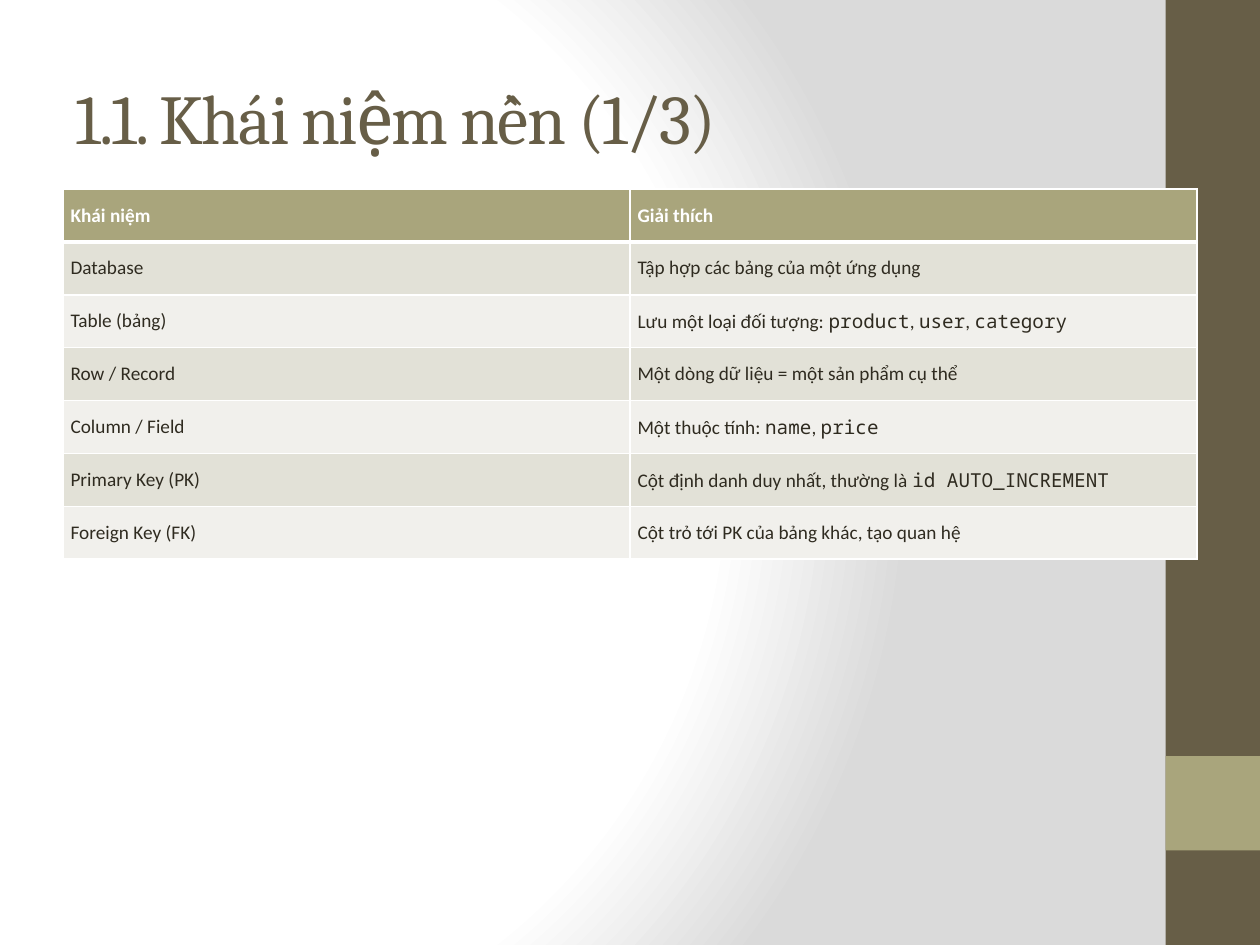
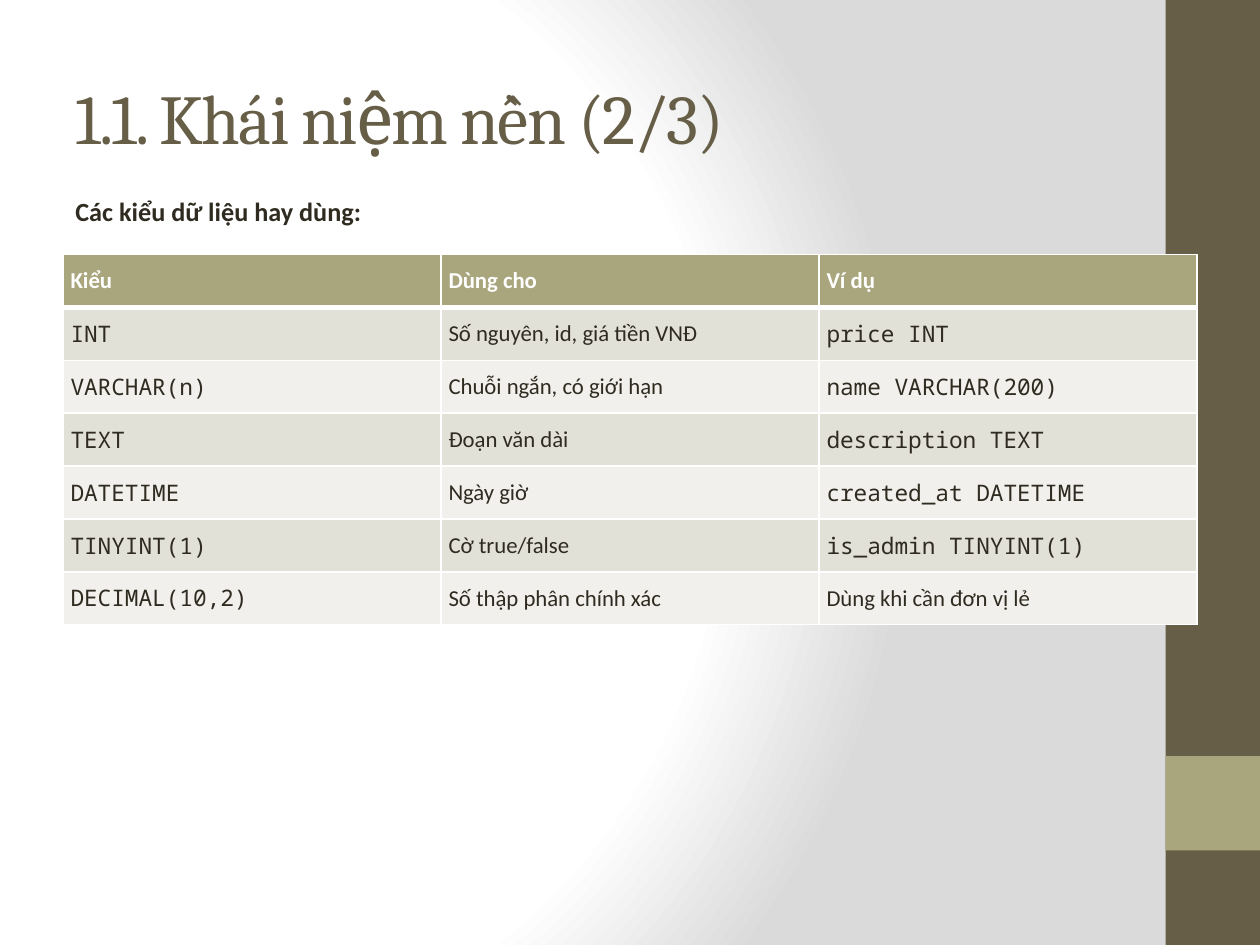
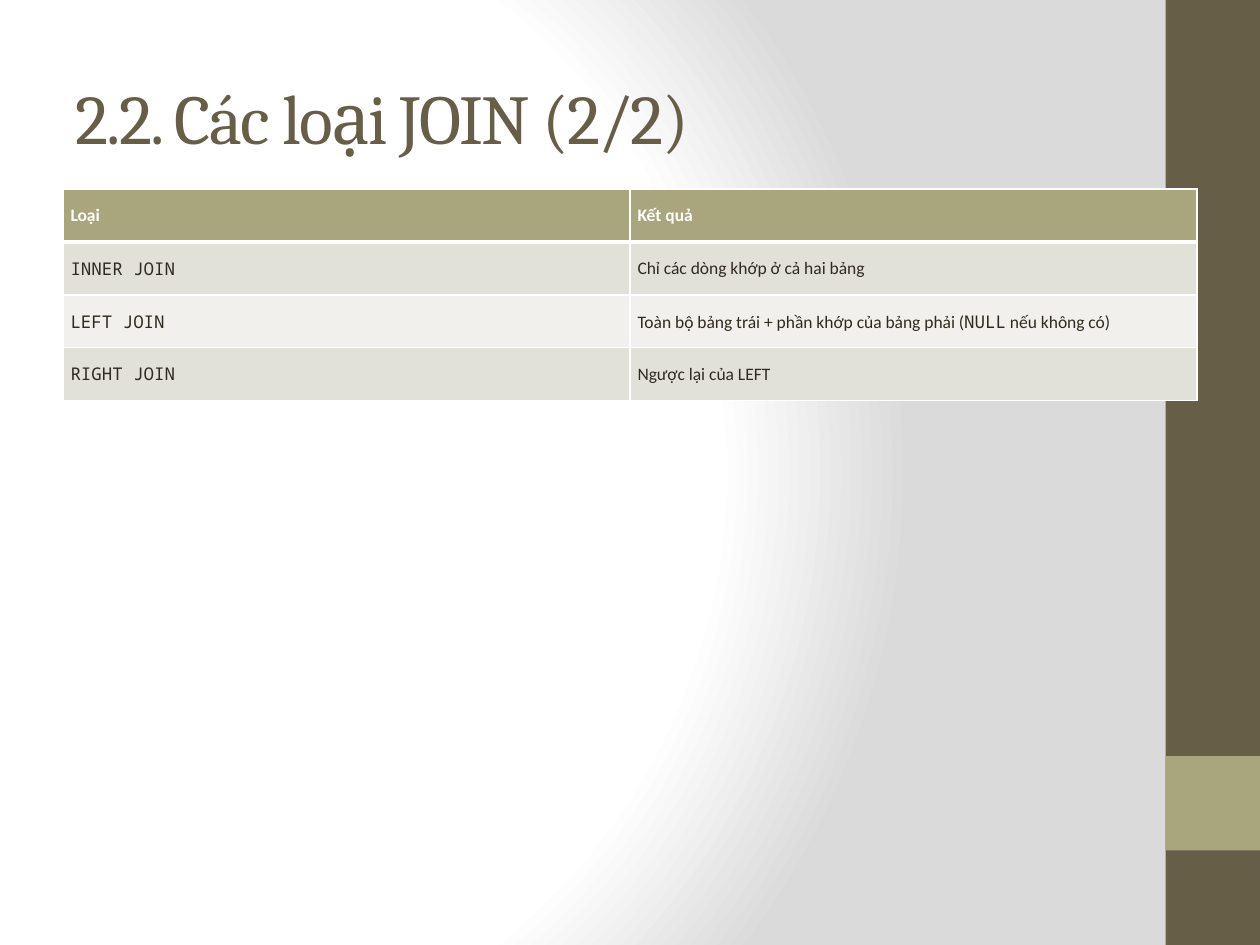
from collections import namedtuple

from pptx import Presentation
from pptx import util as u
from pptx.dml.color import RGBColor
from pptx.enum import shapes, text
from pptx.oxml import parse_xml
from pptx.oxml.ns import nsdecls

BROWN = RGBColor(0x67, 0x5E, 0x47)
OLIVE = RGBColor(0xA9, 0xA5, 0x7C)
INK = RGBColor(0x2F, 0x2B, 0x20)
WHITE = RGBColor(0xFF, 0xFF, 0xFF)
GREY = RGBColor(0xDA, 0xDA, 0xDA)
ROW_FILLS = [RGBColor(0xE2, 0xE1, 0xD7), RGBColor(0xF1, 0xF0, 0xEC)]
TITLE_FONT, BODY_FONT, CODE_FONT = "Cambria", "Calibri", "Noto Sans Mono"

Box = namedtuple("Box", "left top width height")
SLIDE_WIDTH, SLIDE_HEIGHT = u.Inches(10), u.Inches(7.5)
BAND_UNIT = u.Inches(0.75)
ROW_HEIGHT = u.Inches(0.42)
CONTENT = Box(u.Inches(0.5), u.Inches(1.5), u.Inches(9), u.Inches(5.5))
TITLE = Box(CONTENT.left, u.Inches(0.3), u.Inches(8.33), u.Inches(1.25))
CAPTION_HEIGHT, CAPTION_STEP = u.Inches(0.45), u.Inches(0.52)
CELL_FORMAT = {
    "margin_left": u.Inches(0.06), "margin_right": u.Inches(0.06),
    "margin_top": u.Inches(0.03), "margin_bottom": u.Inches(0.03),
    "vertical_anchor": text.MSO_ANCHOR.MIDDLE,
}

# Backticks enclose code in table cells.
SLIDES = [
    {"title": "1.1. Khái niệm nền (1/3)", "size": 11, "rows": [
        ("Khái niệm", "Giải thích"),
        ("Database", "Tập hợp các bảng của một ứng dụng"),
        ("Table (bảng)", "Lưu một loại đối tượng: `product`, `user`, `category`"),
        ("Row / Record", "Một dòng dữ liệu = một sản phẩm cụ thể"),
        ("Column / Field", "Một thuộc tính: `name`, `price`"),
        ("Primary Key (PK)", "Cột định danh duy nhất, thường là `id AUTO_INCREMENT`"),
        ("Foreign Key (FK)", "Cột trỏ tới PK của bảng khác, tạo quan hệ"),
    ]},
    {"title": "1.1. Khái niệm nền (2/3)", "size": 13,
     "caption": "Các kiểu dữ liệu hay dùng:", "rows": [
        ("Kiểu", "Dùng cho", "Ví dụ"),
        ("`INT`", "Số nguyên, id, giá tiền VNĐ", "`price INT`"),
        ("`VARCHAR(n)`", "Chuỗi ngắn, có giới hạn", "`name VARCHAR(200)`"),
        ("`TEXT`", "Đoạn văn dài", "`description TEXT`"),
        ("`DATETIME`", "Ngày giờ", "`created_at DATETIME`"),
        ("`TINYINT(1)`", "Cờ true/false", "`is_admin TINYINT(1)`"),
        ("`DECIMAL(10,2)`", "Số thập phân chính xác", "Dùng khi cần đơn vị lẻ"),
    ]},
    {"title": "2.2. Các loại JOIN (2/2)", "size": 10, "rows": [
        ("Loại", "Kết quả"),
        ("`INNER JOIN`", "Chỉ các dòng khớp ở cả hai bảng"),
        ("`LEFT JOIN`",
         "Toàn bộ bảng trái + phần khớp của bảng phải (`NULL` nếu không có)"),
        ("`RIGHT JOIN`", "Ngược lại của LEFT"),
    ]},
]


def set_format(target, values):
    for name, value in values.items():
        setattr(target, name, value)


def set_font(font, name, size, color, bold=False):
    set_format(font, {"name": name, "size": u.Pt(size), "bold": bold})
    font.color.rgb = color


def set_master_background(master):
    master.background.fill.gradient()
    gradient = master.element.xpath(".//p:bgPr/a:gradFill")[0]
    stops = "".join(
        f'<a:gs pos="{share * 1000}"><a:srgbClr val="{color}"/></a:gs>'
        for share, color in [(0, WHITE), (75, WHITE), (100, GREY)])
    gradient.getparent().replace(gradient, parse_xml(
        f'<a:gradFill {nsdecls("a")} rotWithShape="1"><a:gsLst>{stops}</a:gsLst>'
        '<a:path path="circle"><a:fillToRect l="20000" t="50000" r="100000" b="50000"/>'
        '</a:path></a:gradFill>'))


def add_master_bands(master, slide):
    """Draw the side bands on a slide, then move them behind the master's text."""
    left = SLIDE_WIDTH - BAND_UNIT
    bands = [(Box(left, 0, BAND_UNIT, SLIDE_HEIGHT), BROWN),
             (Box(left, 8 * BAND_UNIT, BAND_UNIT, BAND_UNIT), OLIVE)]
    for index, (box, color) in enumerate(bands):
        band = slide.shapes.add_shape(shapes.MSO_SHAPE.RECTANGLE, *box)
        band.shadow.inherit = False
        band.fill.solid()
        band.fill.fore_color.rgb = color
        band.line.fill.background()
        band.element.xpath(".//p:cNvPr")[0].set("id", str(100 + index))
        master.shapes.element.insert(2 + index, band.element)


def fill_title(slide, box, wording):
    title = slide.shapes.title
    set_format(title, box._asdict())
    frame = title.text_frame
    set_format(frame, {"text": wording, "word_wrap": True,
                       "auto_size": text.MSO_AUTO_SIZE.NONE,
                       "vertical_anchor": text.MSO_ANCHOR.MIDDLE})
    paragraph = frame.paragraphs[0]
    paragraph.alignment = text.PP_ALIGN.LEFT
    run = paragraph.runs[0]
    set_font(run.font, TITLE_FONT, 40, BROWN)
    run.font._element.set("spc", "-100")


def add_caption(slide, box, wording):
    frame = slide.shapes.add_textbox(*box).text_frame
    set_format(frame, {"text": wording, "word_wrap": True})
    set_font(frame.paragraphs[0].runs[0].font, BODY_FONT, 15, INK, bold=True)


def set_borders(cell, top, bottom):
    properties = cell._tc.get_or_add_tcPr()
    sides = {"lnL": 1, "lnR": 1, "lnT": top, "lnB": bottom}
    for index, (side, points) in enumerate(sides.items()):
        properties.insert(index, parse_xml(
            f'<a:{side} {nsdecls("a")} w="{u.Pt(points)}"><a:solidFill>'
            f'<a:srgbClr val="{WHITE}"/></a:solidFill></a:{side}>'))


def fill_cell(cell, wording, size, row):
    header = row == 0
    set_format(cell, CELL_FORMAT)
    cell.fill.solid()
    cell.fill.fore_color.rgb = OLIVE if header else ROW_FILLS[(row - 1) % 2]
    set_borders(cell, top=3 if row == 1 else 1, bottom=3 if header else 1)
    paragraph = cell.text_frame.paragraphs[0]
    for index, part in enumerate(wording.split("`")):
        if part:
            run = paragraph.add_run()
            run.text = part
            set_font(run.font, CODE_FONT if index % 2 else BODY_FONT, size,
                     WHITE if header else INK, bold=header)


def add_grid(slide, box, rows, size):
    columns = len(rows[0])
    table = slide.shapes.add_table(
        len(rows), columns, box.left, box.top, box.width, ROW_HEIGHT * len(rows)).table
    for column in table.columns:
        column.width = box.width // columns
    for row, wordings in enumerate(rows):
        table.rows[row].height = ROW_HEIGHT
        for column, wording in enumerate(wordings):
            fill_cell(table.cell(row, column), wording, size, row)


def add_table_slide(presentation, content):
    slide = presentation.slides.add_slide(presentation.slide_layouts.get_by_name("Title Only"))
    fill_title(slide, TITLE, content["title"])
    box = CONTENT
    if "caption" in content:
        add_caption(slide, box._replace(height=CAPTION_HEIGHT), content["caption"])
        box = box._replace(top=box.top + CAPTION_STEP, height=box.height - CAPTION_STEP)
    add_grid(slide, box, content["rows"], content["size"])
    return slide


def main():
    presentation = Presentation()
    set_format(presentation, {"slide_width": SLIDE_WIDTH, "slide_height": SLIDE_HEIGHT})
    slides = [add_table_slide(presentation, content) for content in SLIDES]
    set_master_background(presentation.slide_master)
    add_master_bands(presentation.slide_master, slides[0])
    presentation.save("out.pptx")


if __name__ == "__main__":
    main()
